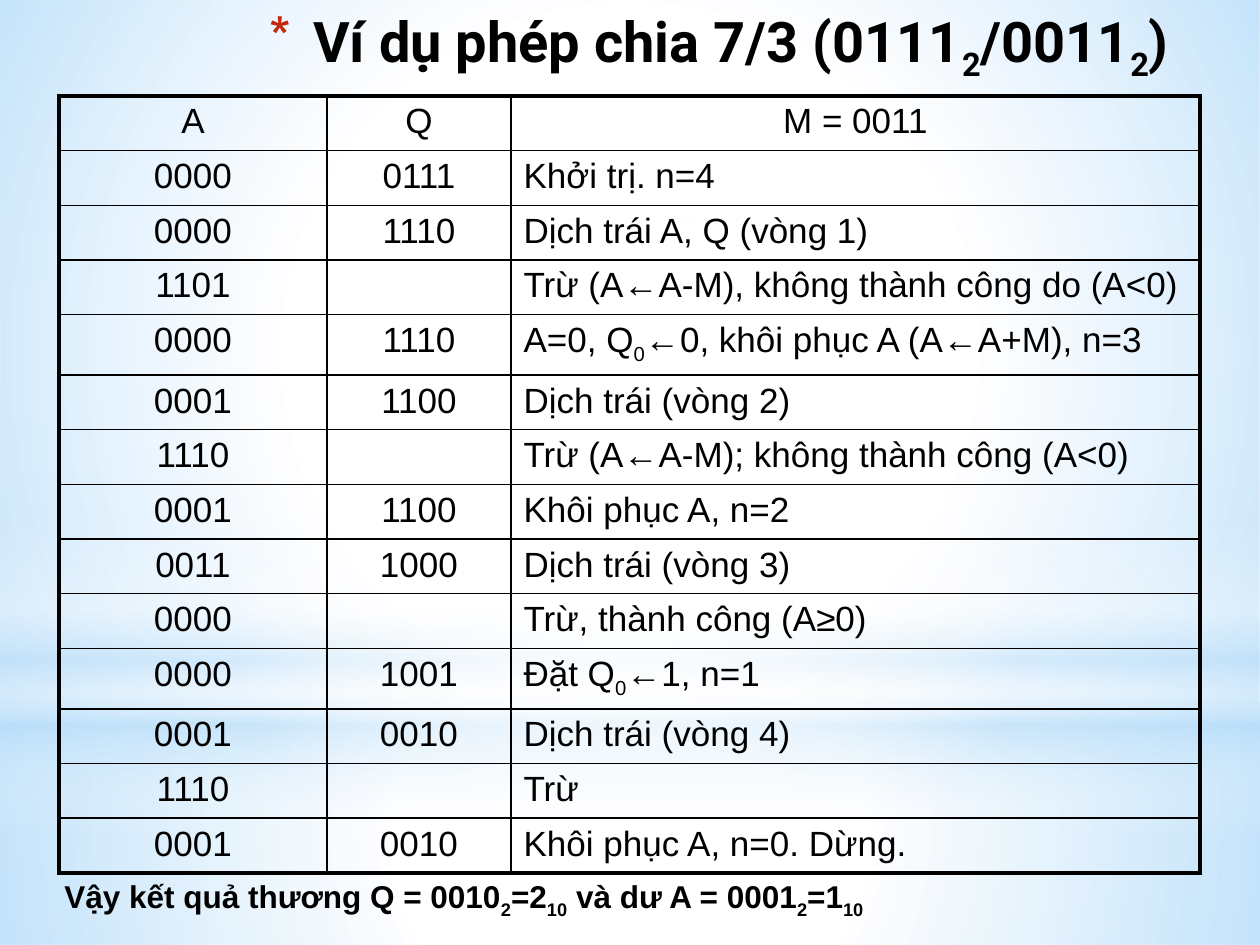
import pptx
import pptx.util
import pptx.dml.color
import pptx.enum.shapes
import pptx.enum.text
import pptx.oxml
import pptx.oxml.ns

PX = 914400 / 126
NS = pptx.oxml.ns.nsdecls("a")
SHAPE = pptx.enum.shapes.MSO_SHAPE
ALIGN = pptx.enum.text.PP_ALIGN
BLACK, WHITE, SKY, RED = "000000", "FFFFFF", "B4DCFA", "C3260C"
THIN, THICK = 1, 2.25

TITLE = "Ví dụ phép chia 7/3 (0111~2~/0011~2~)"
RESULT = "Vậy kết quả thương Q = 0010~2~=2~10~ và dư A = 0001~2~=1~10~"
STEPS = [
    ("A", "Q", "M = 0011"),
    ("0000", "0111", "Khởi trị. n=4"),
    ("0000", "1110", "Dịch trái A, Q (vòng 1)"),
    ("1101", "", "Trừ (A←A-M), không thành công do (A<0)"),
    ("0000", "1110", "A=0, Q~0~←0, khôi phục A (A←A+M), n=3"),
    ("0001", "1100", "Dịch trái (vòng 2)"),
    ("1110", "", "Trừ (A←A-M); không thành công (A<0)"),
    ("0001", "1100", "Khôi phục A, n=2"),
    ("0011", "1000", "Dịch trái (vòng 3)"),
    ("0000", "", "Trừ, thành công (A≥0)"),
    ("0000", "1001", "Đặt Q~0~←1, n=1"),
    ("0001", "0010", "Dịch trái (vòng 4)"),
    ("1110", "", "Trừ"),
    ("0001", "0010", "Khôi phục A, n=0. Dừng."),
]
BACKDROP = [
    (SHAPE.RECTANGLE, 703, 242, True, [(0, WHITE, 91), (37, WHITE, 76), (100, SKY, 79)]),
    (SHAPE.RECTANGLE, 0, 703, True, [(0, WHITE, 89), (48, WHITE, 62), (100, SKY, 79)]),
    (SHAPE.RECTANGLE, 519, 315, False, [(0, WHITE, 0), (29, WHITE, 30), (45, SKY, 40),
                                        (55, WHITE, 26), (65, SKY, 60), (100, WHITE, 0)]),
    (SHAPE.OVAL, 220, 703, True, [(0, WHITE, 100), (56, WHITE, 0), (100, WHITE, 0)]),
]


def px(n):
    return pptx.util.Emu(round(n * PX))


def color(h):
    return pptx.dml.color.RGBColor.from_string(h)


def set_attrs(obj, values):
    for name, value in values.items():
        setattr(obj, name, value)


def write(p, text, size, font="Arial", bold=False):
    fmt = {"size": pptx.util.Pt(size), "name": font, "bold": bold}
    for i, part in enumerate(text.split("~")):
        if part:
            r = p.add_run()
            r.text = part
            set_attrs(r.font, fmt)
            r.font.color.rgb = color(BLACK)
            if i % 2:
                r.font._element.set("baseline", "-25000")


def gradient(stops, radial):
    gs = "".join(
        f'<a:gs pos="{pos * 1000}"><a:srgbClr val="{color(h)}">'
        f'<a:alpha val="{alpha * 1000}"/></a:srgbClr></a:gs>'
        for pos, h, alpha in stops)
    way = ('<a:path path="circle"><a:fillToRect l="50000" t="50000" r="50000" b="50000"/></a:path>'
           if radial else '<a:lin ang="5400000" scaled="0"/>')
    return pptx.oxml.parse_xml(
        f'<a:gradFill {NS} rotWithShape="1"><a:gsLst>{gs}</a:gsLst>{way}</a:gradFill>')


def add_backdrop(s, x, y, w):
    for kind, top, h, radial, stops in BACKDROP:
        sp = s.shapes.add_shape(kind, px(x), px(y + top), px(w), px(h))
        sp.shadow.inherit = False
        sp.line.fill.background()
        sp._element.spPr.insert(2, gradient(stops, radial))


def add_title(s, x, y, w, h):
    tf = s.shapes.add_textbox(px(x), px(y), px(w), px(h)).text_frame
    tf.word_wrap = True
    p = tf.paragraphs[0]
    p.alignment = ALIGN.RIGHT
    pPr = p._p.get_or_add_pPr()
    pPr.set("marL", str(px(44)))
    pPr.set("indent", str(px(-44)))
    pPr.append(pptx.oxml.parse_xml(
        f'<a:buClr {NS}><a:srgbClr val="{color(RED)}"/></a:buClr>'))
    pPr.append(pptx.oxml.parse_xml(f'<a:buChar {NS} char="*"/>'))
    write(p, TITLE, 32, "Roboto", True)


def add_borders(cell, widths):
    tcPr = cell._tc.get_or_add_tcPr()
    for side, width in widths.items():
        tcPr.append(pptx.oxml.parse_xml(
            f'<a:ln{side} {NS} w="{pptx.util.Pt(width)}"><a:solidFill>'
            f'<a:srgbClr val="{color(BLACK)}"/></a:solidFill></a:ln{side}>'))
    cell.fill.background()


def add_steps(s, x, y, w, h):
    widths = (268, 184, w - 268 - 184)
    last_row, last_col = len(STEPS) - 1, len(widths) - 1
    table = s.shapes.add_table(len(STEPS), len(widths), px(x), px(y), px(w), px(h)).table
    set_attrs(table, {"first_row": False, "horz_banding": False})
    for col, width in zip(table.columns, widths):
        col.width = px(width)
    for i, row in enumerate(STEPS):
        for j, text in enumerate(row):
            cell = table.cell(i, j)
            edges = {"L": j == 0, "R": j == last_col, "T": i == 0, "B": i == last_row}
            add_borders(cell, {k: THICK if outer else THIN for k, outer in edges.items()})
            p = cell.text_frame.paragraphs[0]
            p.alignment = ALIGN.LEFT if i and j == last_col else ALIGN.CENTER
            write(p, text, 20)


def add_result(s, x, y, w, h):
    tf = s.shapes.add_textbox(px(x), px(y), px(w), px(h)).text_frame
    set_attrs(tf, {"word_wrap": True,
                   "auto_size": pptx.enum.text.MSO_AUTO_SIZE.SHAPE_TO_FIT_TEXT})
    write(tf.paragraphs[0], RESULT, 18, bold=True)


def main():
    prs = pptx.Presentation()
    set_attrs(prs, {"slide_width": px(1260), "slide_height": px(945)})
    s = prs.slides.add_slide(prs.slide_layouts[6])
    s.background.fill.solid()
    s.background.fill.fore_color.rgb = color(WHITE)
    add_backdrop(s, 0, 0, 1260)
    add_title(s, 89, 0, 1092, 88)
    add_steps(s, 59, 96, 1141, 764)
    add_result(s, 52, 871, 851, 50)
    prs.save("out.pptx")


if __name__ == "__main__":
    main()
